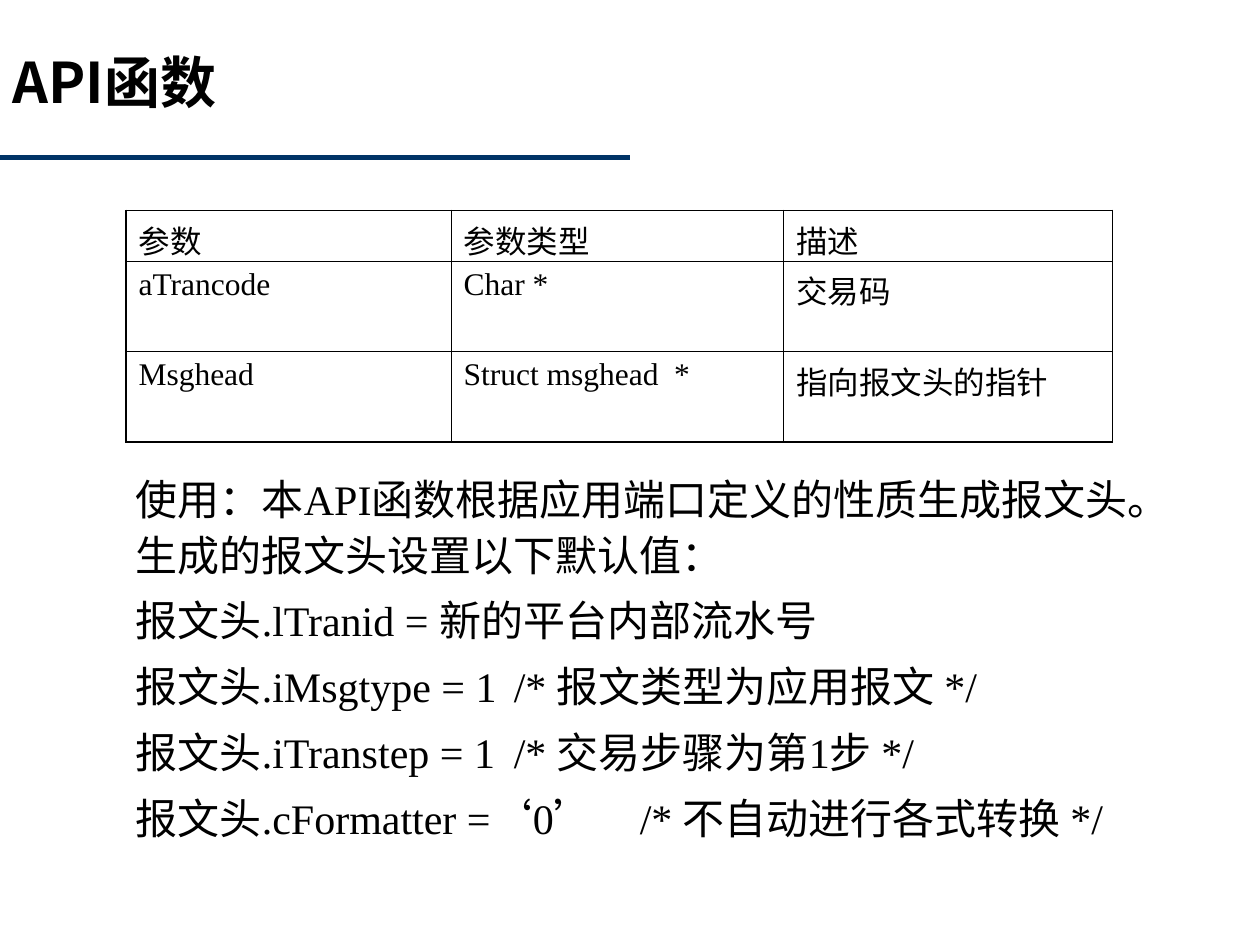
from dataclasses import dataclass

import pptx
import pptx.dml.color
import pptx.enum.shapes
import pptx.enum.text
import pptx.oxml.ns
import pptx.util
from lxml import etree
from pptx.util import Inches

COLORS = {"text": "000000", "rule": "003366", "border": "000000"}
FONTS = {"latin": "Times New Roman", "asian": "Noto Sans CJK SC"}
ALIGN = pptx.enum.text.PP_ALIGN
THICK, THIN = 1.08, 0.45


@dataclass
class TextBlock:
    left: float
    top: float
    width: float
    height: float
    lines: list[str]


TITLE = TextBlock(0, 0.33, 7.58, 1.25, ["API函数"])
USAGE = TextBlock(0.25, 3.67, 9.17, 3.67, [
    "使用：本API函数根据应用端口定义的性质生成报文头。生成的报文头设置以下默认值：",
    "报文头.lTranid = 新的平台内部流水号",
    "报文头.iMsgtype = 1\t/* 报文类型为应用报文 */",
    "报文头.iTranstep = 1\t/* 交易步骤为第1步 */",
    "报文头.cFormatter =‘0’\t/* 不自动进行各式转换 */",
])
PARAMETERS = [
    ["参数", "参数类型", "描述"],
    ["aTrancode", "Char *", "交易码"],
    ["Msghead", "Struct msghead  *", "指向报文头的指针"],
]
COLUMN_WIDTHS = [2.58, 2.64, 2.61]
ROW_HEIGHTS = [0.4, 0.72, 0.72]


def rgb(name: str) -> pptx.dml.color.RGBColor:
    return pptx.dml.color.RGBColor.from_string(COLORS[name])


def add_element(parent, tag: str, **attributes):
    return etree.SubElement(parent, pptx.oxml.ns.qn(tag), **attributes)


def write_text(para, text: str, *, size: float, font: str = "latin", bold: bool = False,
               align=ALIGN.LEFT, before: float = 0, spacing: float = 1,
               indent: float = 0, tabs: int = 0) -> None:
    para.alignment = align
    para.space_before = pptx.util.Pt(before)
    para.line_spacing = spacing
    properties = para._p.get_or_add_pPr()
    properties.set("marL", str(Inches(indent)))
    properties.set("indent", "0")
    if tabs:
        tab_list = add_element(properties, "a:tabLst")
        for position in range(tabs):
            add_element(tab_list, "a:tab", pos=str(Inches(position)), algn="l")
    span = para.add_run()
    span.text = text
    span.font.size = pptx.util.Pt(size)
    span.font.bold = bold
    span.font.color.rgb = rgb("text")
    span.font.name = FONTS[font]
    add_element(span._r.get_or_add_rPr(), "a:ea", typeface=FONTS["asian"])


def add_text(page, block: TextBlock, **formatting) -> None:
    before = formatting.pop("before", 0)
    align = formatting.pop("align", ALIGN.LEFT)
    box = page.shapes.add_textbox(Inches(block.left), Inches(block.top),
                                  Inches(block.width), Inches(block.height))
    frame = box.text_frame
    frame.word_wrap = True
    for index, line in enumerate(block.lines):
        para = frame.add_paragraph() if index else frame.paragraphs[0]
        write_text(para, line, before=before if index else 0,
                   align=align if index else ALIGN.LEFT, **formatting)


def add_rule(page) -> None:
    rule = page.shapes.add_connector(pptx.enum.shapes.MSO_CONNECTOR.STRAIGHT,
                                     Inches(0), Inches(1.25), Inches(5), Inches(1.25))
    rule.line.color.rgb = rgb("rule")
    rule.line.width = pptx.util.Pt(3)
    add_element(rule._element.spPr, "a:effectLst")


def set_borders(cell, widths: dict[str, float]) -> None:
    properties = cell._tc.get_or_add_tcPr()
    for side, width in widths.items():
        line = add_element(properties, f"a:ln{side}", w=str(pptx.util.Pt(width)))
        fill = add_element(line, "a:solidFill")
        add_element(fill, "a:srgbClr", val=COLORS["border"])


def add_parameter_table(page) -> None:
    last_row, last_column = len(ROW_HEIGHTS) - 1, len(COLUMN_WIDTHS) - 1
    table = page.shapes.add_table(len(ROW_HEIGHTS), len(COLUMN_WIDTHS), Inches(1), Inches(1.67),
                                  Inches(sum(COLUMN_WIDTHS)), Inches(sum(ROW_HEIGHTS))).table
    table.first_row = False
    table.horz_banding = False
    for column, width in zip(table.columns, COLUMN_WIDTHS):
        column.width = Inches(width)
    for row, height in zip(table.rows, ROW_HEIGHTS):
        row.height = Inches(height)
    for row, texts in enumerate(PARAMETERS):
        for column, text in enumerate(texts):
            cell = table.cell(row, column)
            write_text(cell.text_frame.paragraphs[0], text, size=18)
            set_borders(cell, {
                "L": THICK if column == 0 else THIN,
                "R": THICK if column == last_column else THIN,
                "T": THICK if row == 0 else THIN,
                "B": THICK if row == last_row else THIN,
            })
            cell.fill.background()


def main() -> None:
    deck = pptx.Presentation()
    deck.slide_width, deck.slide_height = Inches(10), Inches(7.5)
    page = deck.slides.add_slide(deck.slide_layouts[6])
    add_rule(page)
    add_text(page, TITLE, size=32, font="asian", bold=True)
    add_text(page, USAGE, size=24, align=ALIGN.JUSTIFY, before=6, spacing=1.1,
             indent=0.73, tabs=8)
    add_parameter_table(page)
    deck.save("out.pptx")


if __name__ == "__main__":
    main()
